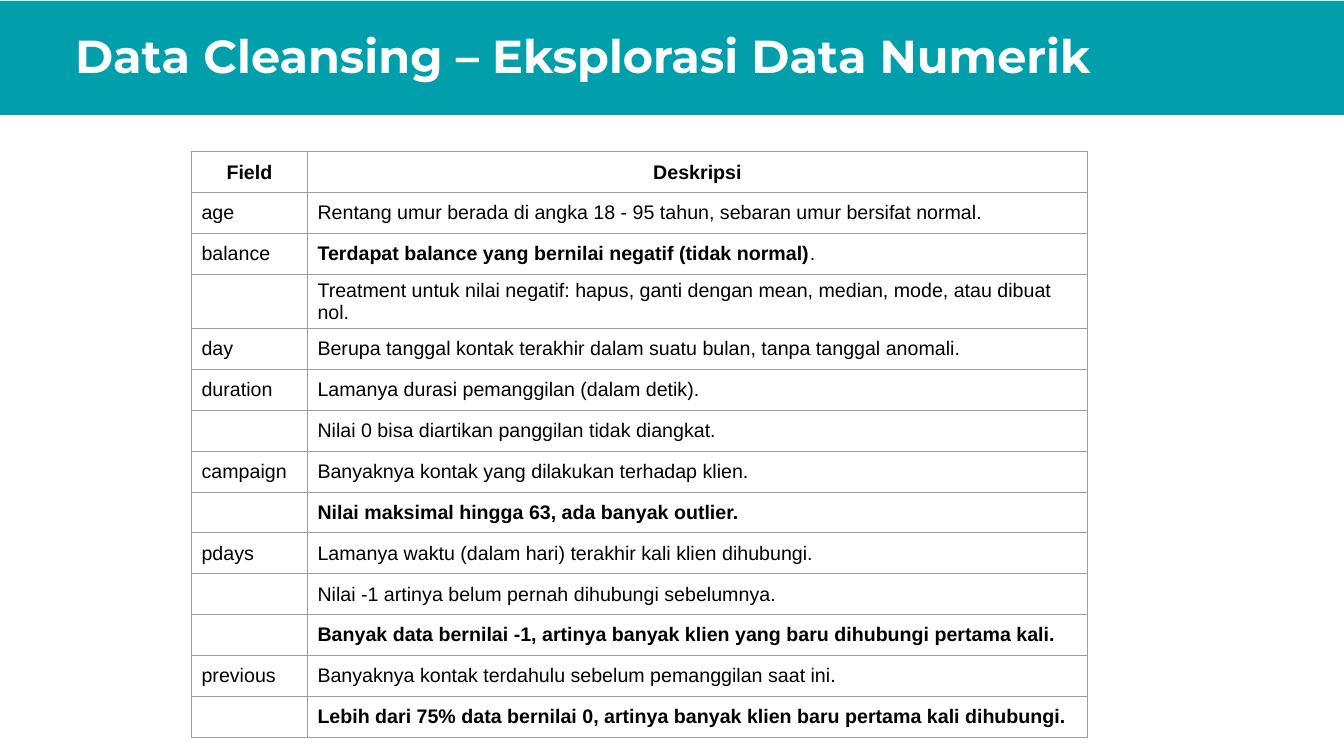
from lxml import etree
from pptx import Presentation
from pptx.dml.color import RGBColor
from pptx.enum.shapes import MSO_SHAPE
from pptx.enum.text import MSO_ANCHOR, MSO_AUTO_SIZE, PP_ALIGN
from pptx.oxml.ns import qn
from pptx.util import Pt

RECTANGLE = MSO_SHAPE.RECTANGLE
MIDDLE = MSO_ANCHOR.MIDDLE
NO_AUTOFIT = MSO_AUTO_SIZE.NONE
LEFT, CENTER = PP_ALIGN.LEFT, PP_ALIGN.CENTER

COLORS = {"teal": "019FAB", "white": "FFFFFF", "black": "000000", "border": "9E9E9E"}
TITLE_FONT = {"name": "Montserrat", "size": Pt(33), "bold": True}
CELL_FONT = {"name": "Arial", "size": Pt(14)}
FRAME = {
    "margin_left": Pt(7.2),
    "margin_right": Pt(7.2),
    "margin_top": Pt(3.6),
    "margin_bottom": Pt(3.6),
    "vertical_anchor": MIDDLE,
}

COLUMN_WIDTHS = (82.8, 557.2)
ROW_HEIGHT = 29.2
HEADERS = ("Field", "Deskripsi")
FIELDS = {
    "age": [[("Rentang umur berada di angka 18 - 95 tahun, sebaran umur bersifat normal.", False)]],
    "balance": [
        [("Terdapat balance yang bernilai negatif (tidak normal)", True), (".", False)],
        [("Treatment untuk nilai negatif: hapus, ganti dengan mean, median, mode, atau dibuat nol.", False)],
    ],
    "day": [[("Berupa tanggal kontak terakhir dalam suatu bulan, tanpa tanggal anomali.", False)]],
    "duration": [
        [("Lamanya durasi pemanggilan (dalam detik).", False)],
        [("Nilai 0 bisa diartikan panggilan tidak diangkat.", False)],
    ],
    "campaign": [
        [("Banyaknya kontak yang dilakukan terhadap klien.", False)],
        [("Nilai maksimal hingga 63, ada banyak outlier.", True)],
    ],
    "pdays": [
        [("Lamanya waktu (dalam hari) terakhir kali klien dihubungi.", False)],
        [("Nilai -1 artinya belum pernah dihubungi sebelumnya.", False)],
        [("Banyak data bernilai -1, artinya banyak klien yang baru dihubungi pertama kali.", True)],
    ],
    "previous": [
        [("Banyaknya kontak terdahulu sebelum pemanggilan saat ini.", False)],
        [("Lebih dari 75% data bernilai 0, artinya banyak klien baru pertama kali dihubungi.", True)],
    ],
}


def apply_format(target, values):
    for name, value in values.items():
        setattr(target, name, value)


class SlideBuilder:
    """Hold the style and the current slide, and add its elements."""

    def __init__(self, slide, colors):
        self.slide = slide
        self.colors = {name: RGBColor.from_string(value) for name, value in colors.items()}

    def add_band(self, left, top, width, height):
        shapes = self.slide.shapes
        band = shapes.add_shape(RECTANGLE, Pt(left), Pt(top), Pt(width), Pt(height))
        band.shadow.inherit = False
        band.fill.solid()
        band.fill.fore_color.rgb = self.colors["teal"]
        band.line.fill.background()
        shapes.title.element.addprevious(band.element)

    def add_run(self, paragraph, text, font, color):
        run = paragraph.add_run()
        run.text = text
        apply_format(run.font, font)
        run.font.color.rgb = self.colors[color]

    def set_title(self, text, left, top, width, height):
        title = self.slide.shapes.title
        place = {"left": Pt(left), "top": Pt(top), "width": Pt(width), "height": Pt(height)}
        apply_format(title, place)
        apply_format(title.text_frame, FRAME | {"auto_size": NO_AUTOFIT, "word_wrap": True})
        paragraph = title.text_frame.paragraphs[0]
        apply_format(paragraph, {"alignment": LEFT, "line_spacing": 0.9})
        self.add_run(paragraph, text, TITLE_FONT, "white")

    def format_cell(self, cell, runs, alignment):
        apply_format(cell, FRAME)
        properties = cell._tc.get_or_add_tcPr()
        for side in ("a:lnL", "a:lnR", "a:lnT", "a:lnB"):
            line = etree.SubElement(properties, qn(side), w=str(Pt(0.75)))
            fill = etree.SubElement(line, qn("a:solidFill"))
            etree.SubElement(fill, qn("a:srgbClr"), val=str(self.colors["border"]))
        cell.fill.background()
        paragraph = cell.text_frame.paragraphs[0]
        paragraph.alignment = alignment
        for text, bold in runs:
            self.add_run(paragraph, text, CELL_FONT | {"bold": bold}, "black")

    def add_table(self, rows, left, top):
        table = self.slide.shapes.add_table(
            len(rows), len(COLUMN_WIDTHS), Pt(left), Pt(top),
            Pt(sum(COLUMN_WIDTHS)), Pt(ROW_HEIGHT * len(rows)),
        ).table
        apply_format(table, {"first_row": False, "horz_banding": False})
        for column, width in zip(table.columns, COLUMN_WIDTHS):
            column.width = Pt(width)
        for index, (row, contents) in enumerate(zip(table.rows, rows)):
            row.height = Pt(ROW_HEIGHT)
            for cell, runs in zip(row.cells, contents):
                self.format_cell(cell, runs, LEFT if index else CENTER)


def main():
    presentation = Presentation()
    presentation.slide_width, presentation.slide_height = Pt(960), Pt(540)
    slide = presentation.slides.add_slide(presentation.slide_layouts[5])
    builder = SlideBuilder(slide, COLORS)
    builder.add_band(0, 0.7, 960, 81.4)
    builder.set_title("Data Cleansing – Eksplorasi Data Numerik", 46.4, 11.5, 881, 60)
    rows = [[[(header, True)] for header in HEADERS]]
    for field, descriptions in FIELDS.items():
        for index, runs in enumerate(descriptions):
            rows.append([[] if index else [(field, False)], runs])
    builder.add_table(rows, 136.8, 108.4)
    presentation.save("out.pptx")


if __name__ == "__main__":
    main()
